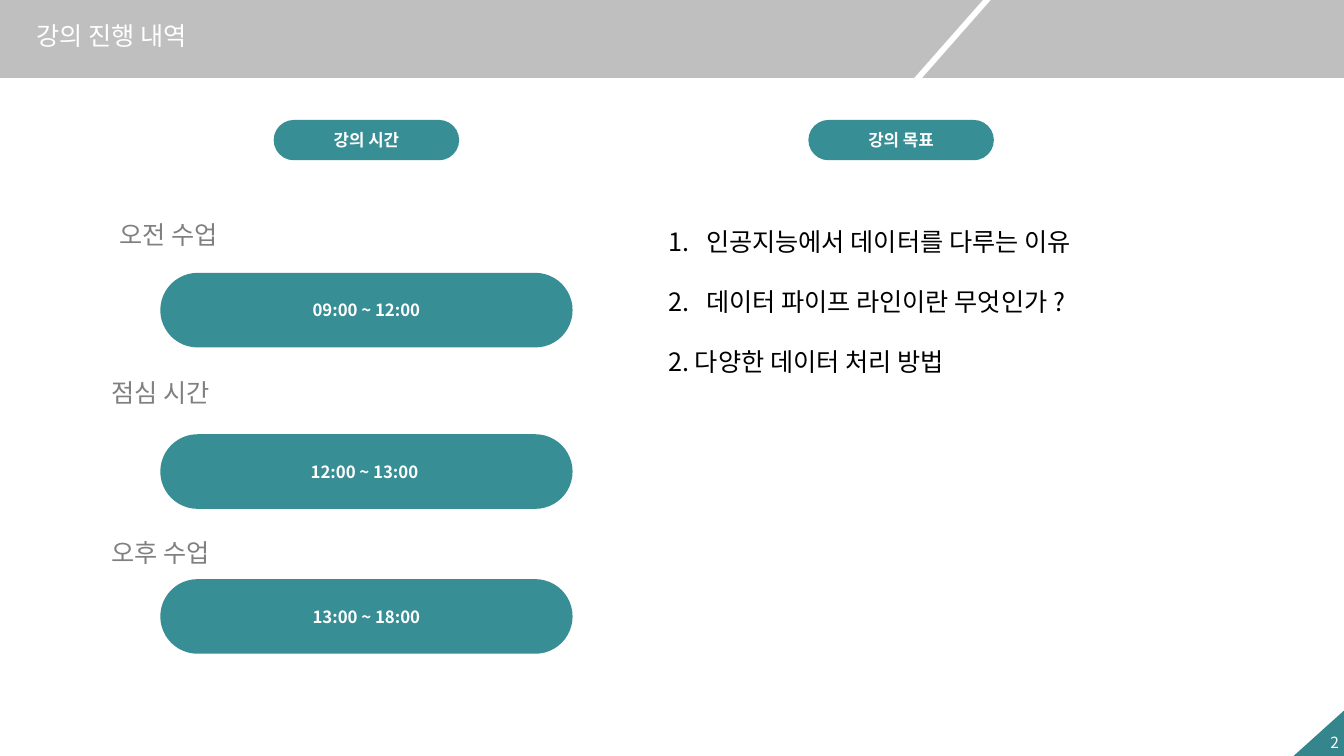
from dataclasses import dataclass

from pptx import Presentation
from pptx.dml.color import RGBColor
from pptx.enum import shapes, text
from pptx.oxml import ns, xmlchemy
from pptx.util import Pt


@dataclass(frozen=True)
class Theme:
    font: str = "Noto Sans CJK KR"
    teal: str = "388E95"
    corner: str = "34868C"
    band: str = "BFBFBF"
    label: str = "808080"
    ink: str = "000000"
    white: str = "FFFFFF"
    body_size: float = 18
    pill_size: float = 12
    page_size: float = 11


THEME = Theme()


def paint(shape, color):
    shape.shadow.inherit = False
    shape.fill.solid()
    shape.fill.fore_color.rgb = RGBColor.from_string(color)
    shape.line.fill.background()


def write(para, words, size=THEME.body_size, color=THEME.ink, bold=False,
          align=text.PP_ALIGN.LEFT):
    para.alignment = align
    span = para.add_run()
    span.text = words
    span.font.name = THEME.font
    span.font.size = Pt(size)
    span.font.bold = bold
    span.font.color.rgb = RGBColor.from_string(color)
    asian = xmlchemy.OxmlElement("a:ea")
    asian.set("typeface", THEME.font)
    span.font._element.find(ns.qn("a:latin")).addnext(asian)


def add_text(page, box, words, anchor=text.MSO_ANCHOR.MIDDLE, **style):
    frame = page.shapes.add_textbox(*map(Pt, box)).text_frame
    frame.word_wrap = False
    frame.vertical_anchor = anchor
    write(frame.paragraphs[0], words, **style)
    return frame


def add_pill(page, box, words):
    pill = page.shapes.add_shape(shapes.MSO_SHAPE.ROUNDED_RECTANGLE, *map(Pt, box))
    pill.adjustments[0] = 0.5
    paint(pill, THEME.teal)
    frame = pill.text_frame
    frame.word_wrap = False
    frame.vertical_anchor = text.MSO_ANCHOR.MIDDLE
    write(frame.paragraphs[0], words, size=THEME.pill_size, color=THEME.white,
          bold=True, align=text.PP_ALIGN.CENTER)


def add_header(page, box, title):
    left, top, width, height = box
    right, bottom = left + width, top + height
    slant, gap, cut = 49, 5.8, left + 702
    left_part = [(left, top), (cut, top), (cut - slant, bottom), (left, bottom)]
    right_part = [(cut + gap, top), (right, top), (right, bottom),
                  (cut + gap - slant, bottom)]
    start, *rest = [(Pt(x), Pt(y)) for x, y in left_part]
    outline = page.shapes.build_freeform(*start)
    outline.add_line_segments(rest)
    start, *rest = [(Pt(x), Pt(y)) for x, y in right_part]
    outline.move_to(*start)
    outline.add_line_segments(rest)
    paint(outline.convert_to_shape(), THEME.band)
    add_text(page, (left + 18.7, top + 10.8, 137, 28.8), title, color=THEME.white)


def add_page_corner(page, box, number):
    left, top, width, height = box
    corner = page.shapes.add_shape(shapes.MSO_SHAPE.RIGHT_TRIANGLE, *map(Pt, box))
    corner._element.spPr.find(ns.qn("a:xfrm")).set("flipH", "1")
    paint(corner, THEME.corner)
    frame = add_text(page, (left, top + 12.2, width, height - 12.2), number,
                     anchor=text.MSO_ANCHOR.TOP, size=THEME.page_size,
                     color=THEME.white, align=text.PP_ALIGN.RIGHT)
    frame.margin_right = Pt(3.6)


def add_heading(page, box, words):
    left, top, width, _ = box
    pill_width = 132.5
    add_pill(page, (left + (width - pill_width) / 2, top, pill_width, 28.8), words)


def add_schedule(page, box, heading, sessions):
    left, top, width, _ = box
    add_heading(page, box, heading)
    for name, hours, indent, name_top, pill_top in sessions:
        add_text(page, (left - 41.8 + indent, top + name_top, 94, 28.8), name,
                 color=THEME.label)
        add_pill(page, (left, top + pill_top, width, 53.3), hours)


def add_goals(page, box, heading, goals):
    left, top, width, height = box
    add_heading(page, (left - 5.5, top, 358, height), heading)
    goal_box = page.shapes.add_textbox(Pt(left), Pt(top + 72.3), Pt(width), Pt(138))
    frame = goal_box.text_frame
    frame.word_wrap = True
    pitch = 21.43
    for index, (words, numbered) in enumerate(goals):
        para = frame.add_paragraph() if index else frame.paragraphs[0]
        para.line_spacing = Pt(pitch)
        if index:
            para.space_before = Pt(pitch)
        if numbered:
            props = para._p.get_or_add_pPr()
            props.set("marL", str(Pt(27)))
            props.set("indent", str(Pt(-27)))
            bullet = xmlchemy.OxmlElement("a:buAutoNum")
            bullet.set("type", "arabicPeriod")
            props.append(bullet)
        write(para, words)


def main():
    deck = Presentation()
    deck.slide_width, deck.slide_height = Pt(960), Pt(540)
    page = deck.slides.add_slide(deck.slide_layouts[6])
    add_page_corner(page, (924, 507.6, 36, 32.4), "2")
    add_header(page, (0, 0, 960, 55.6), "강의 진행 내역")
    add_schedule(page, (114.5, 85.7, 294.5, 382), "강의 시간", [
        ("오전 수업", "09:00 ~ 12:00", 5.8, 67.7, 109.2),
        ("점심 시간", "12:00 ~ 13:00 ", 0, 180, 224.5),
        ("오후 수업", "13:00 ~ 18:00", 0, 294.5, 328),
    ])
    add_goals(page, (470.2, 85.7, 481.7, 210), "강의 목표", [
        ("인공지능에서 데이터를 다루는 이유", True),
        ("데이터 파이프 라인이란 무엇인가 ?", True),
        ("2. 다양한 데이터 처리 방법", False),
    ])
    deck.save("out.pptx")


if __name__ == "__main__":
    main()
